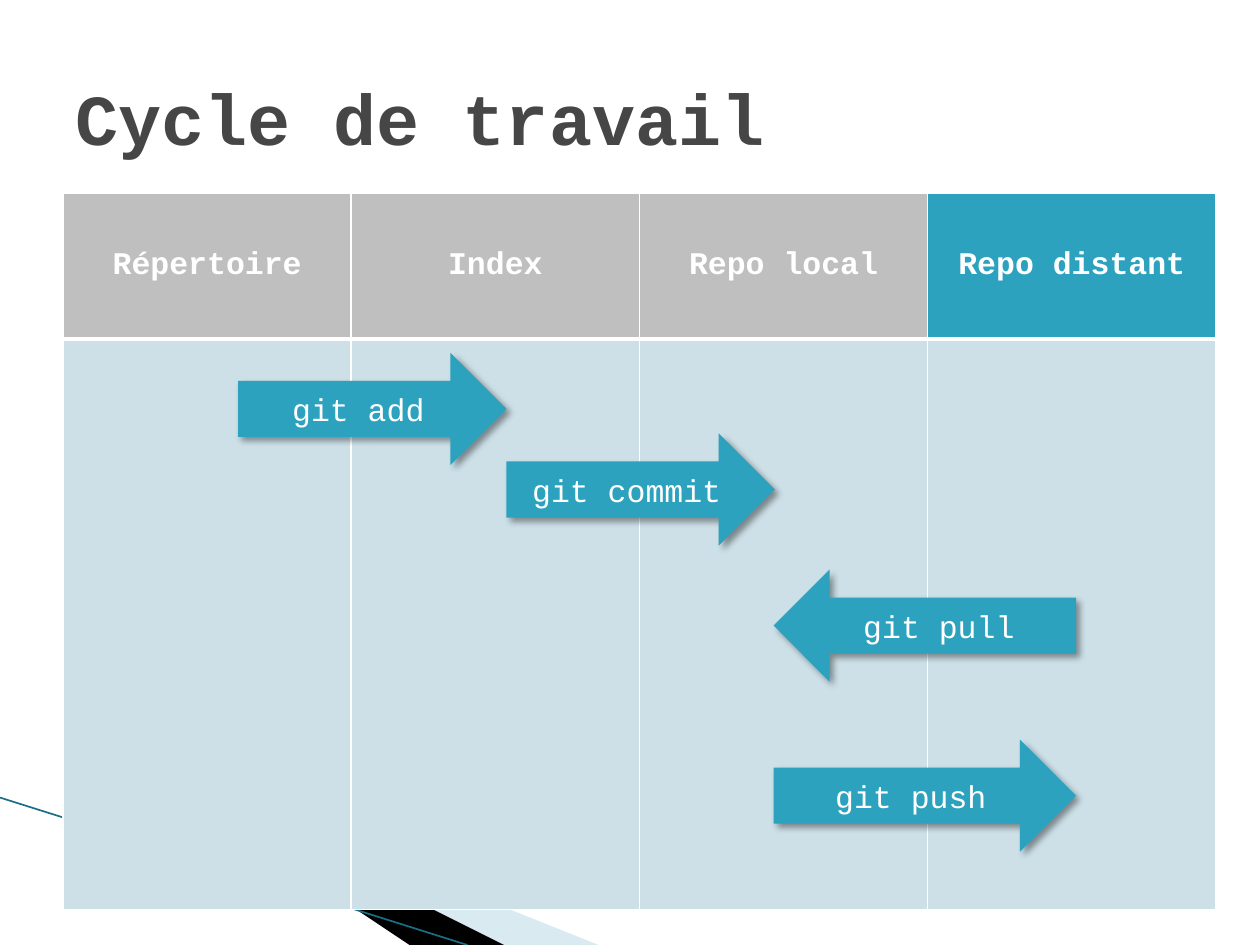
"""Build the slide showing the Git working cycle."""
from lxml import etree
from pptx import Presentation
from pptx.dml.color import RGBColor
from pptx.enum.shapes import MSO_CONNECTOR, MSO_SHAPE
from pptx.enum.text import MSO_ANCHOR, PP_ALIGN
from pptx.oxml import parse_xml
from pptx.oxml.ns import qn
from pptx.util import Inches, Pt

CENTER, LEFT = PP_ALIGN.CENTER, PP_ALIGN.LEFT
MIDDLE = MSO_ANCHOR.MIDDLE
RIGHT_ARROW, LEFT_ARROW = MSO_SHAPE.RIGHT_ARROW, MSO_SHAPE.LEFT_ARROW
STRAIGHT = MSO_CONNECTOR.STRAIGHT
DRAWING = "http://schemas.openxmlformats.org/drawingml/2006/main"

THEME = {
    "font": "Courier New", "title_size": 41, "text_size": 18,
    "title": "464646", "white": "FFFFFF", "accent": "2DA2BF",
    "header": "BFBFBF", "body": "CDE0E8", "black": "000000",
    "wedge": "A0CBDC", "line": "1A6F85",
}
TITLE = "Cycle de travail"
HEADERS = [("Répertoire", "header"), ("Index", "header"),
           ("Repo local", "header"), ("Repo distant", "accent")]
ROW_HEIGHTS = [1.16, 4.53]
ARROWS = [
    ("git commit", RIGHT_ARROW, 4.02, 3.44, 2.13),
    ("git add", RIGHT_ARROW, 1.89, 2.8, 2.13),
    ("git push", RIGHT_ARROW, 6.14, 5.87, 2.4),
    ("git pull", LEFT_ARROW, 6.14, 4.52, 2.4),
]
ARROW_HEIGHT = 0.89
WEDGES = [
    ("wedge", 40, [(0.55, 6.5), (5.95, 7.5), (4.56, 7.5)]),
    ("black", 100, [(0.53, 6.49), (4.57, 7.5), (3.72, 7.5)]),
]


def color(name):
    return RGBColor.from_string(THEME[name])


def paint(target, name):
    target.fill.solid()
    target.fill.fore_color.rgb = color(name)


def write(frame, text, size="text_size", ink="white", bold=False, align=CENTER):
    frame.text = text
    frame.word_wrap = True
    frame.vertical_anchor = MIDDLE
    paragraph = frame.paragraphs[0]
    paragraph.alignment = align
    font = paragraph.font
    font.name, font.size, font.bold = THEME["font"], Pt(THEME[size]), bold
    font.color.rgb = color(ink)


def add_wedge(page, name, opacity, points):
    builder = page.shapes.build_freeform(*points[0], scale=Inches(1))
    builder.add_line_segments(points[1:], close=True)
    wedge = builder.convert_to_shape()
    wedge.shadow.inherit = False
    wedge.line.fill.background()
    paint(wedge, name)
    if opacity < 100:
        tint = wedge.fill._xPr.find(qn("a:solidFill"))[0]
        etree.SubElement(tint, qn("a:alpha")).set("val", str(opacity * 1000))


def add_borders(cell, bottom):
    properties = cell._tc.get_or_add_tcPr()
    for side, width in (("L", 1), ("R", 1), ("T", 1), ("B", bottom)):
        properties.append(parse_xml(
            f'<a:ln{side} xmlns:a="{DRAWING}" w="{Pt(width)}"><a:solidFill>'
            f'<a:srgbClr val="{THEME["white"]}"/></a:solidFill></a:ln{side}>'))


def add_stages(page):
    table = page.shapes.add_table(
        len(ROW_HEIGHTS), len(HEADERS), Inches(0.5), Inches(1.53),
        Inches(9.15), Inches(sum(ROW_HEIGHTS))).table
    for row, height in zip(table.rows, ROW_HEIGHTS):
        row.height = Inches(height)
    for column, (label, fill) in enumerate(HEADERS):
        header, body = table.cell(0, column), table.cell(1, column)
        add_borders(header, 3)
        add_borders(body, 1)
        paint(header, fill)
        paint(body, "body")
        write(header.text_frame, label, bold=True)
        header.vertical_anchor = MIDDLE


def add_arrow(page, label, kind, left, top, width):
    arrow = page.shapes.add_shape(kind, Inches(left), Inches(top),
                                  Inches(width), Inches(ARROW_HEIGHT))
    paint(arrow, "accent")
    arrow.line.fill.background()
    arrow.shadow.inherit = False
    effects = arrow._element.spPr.find(qn("a:effectLst"))
    effects.append(parse_xml(
        f'<a:outerShdw xmlns:a="{DRAWING}" blurRad="{Pt(4)}" dist="{Pt(3)}" '
        f'dir="2700000" algn="tl" rotWithShape="0">'
        f'<a:srgbClr val="{THEME["black"]}"><a:alpha val="40000"/></a:srgbClr>'
        f'</a:outerShdw>'))
    write(arrow.text_frame, label)


deck = Presentation()
deck.slide_width, deck.slide_height = Inches(10), Inches(7.5)
page = deck.slides.add_slide(deck.slide_layouts[5])

title = page.shapes.title
title.left, title.top = Inches(0.5), Inches(0.3)
title.width, title.height = Inches(9), Inches(1.25)
write(title.text_frame, TITLE, "title_size", "title", True, LEFT)

for wedge in WEDGES:
    add_wedge(page, *wedge)
edge = page.shapes.add_connector(STRAIGHT, Inches(0), Inches(6.33),
                                 Inches(3.71), Inches(7.5))
edge.line.color.rgb = color("line")
edge.line.width = Pt(0.95)
etree.SubElement(edge._element.spPr, qn("a:effectLst"))

add_stages(page)
for arrow in ARROWS:
    add_arrow(page, *arrow)

deck.save("out.pptx")
